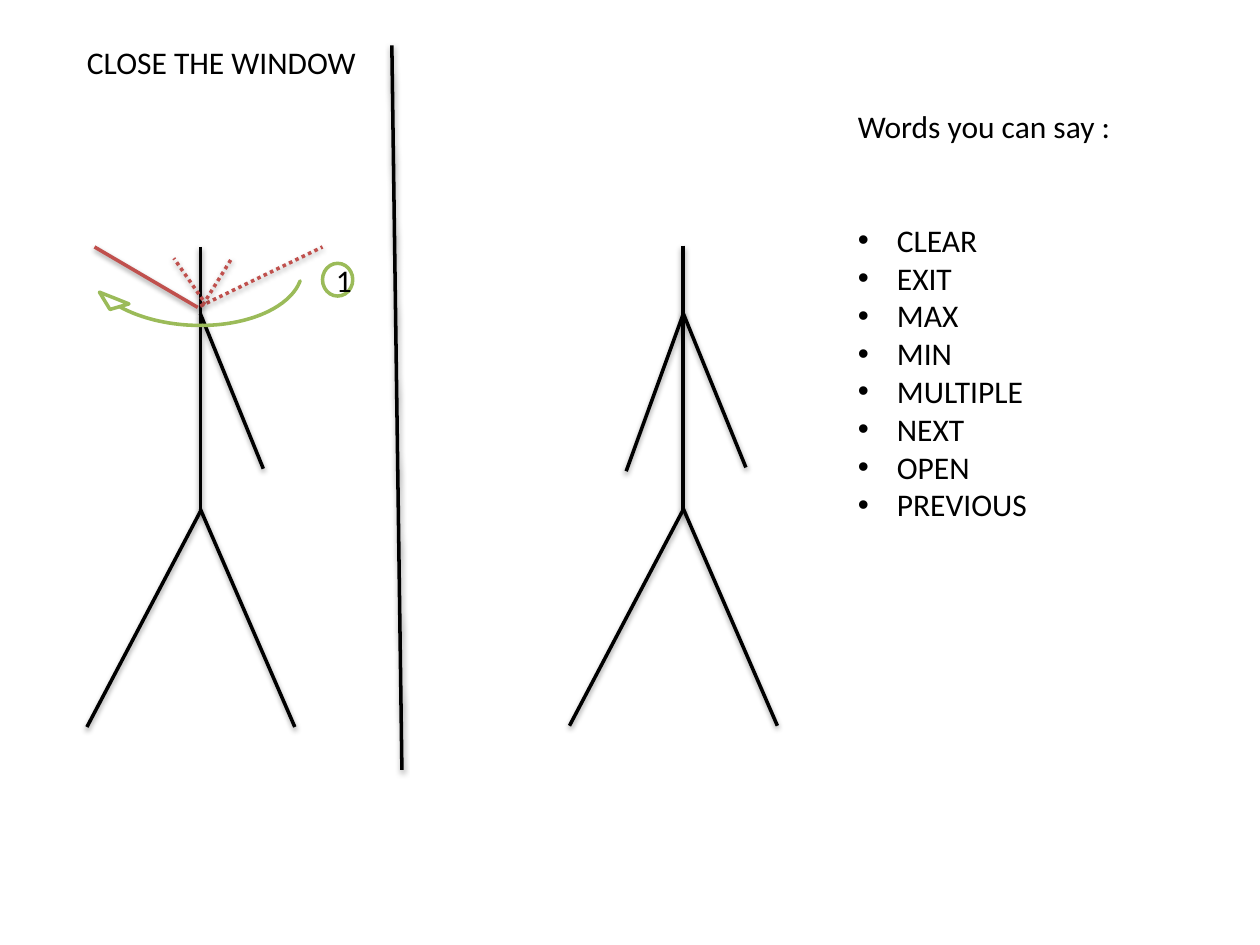
import pptx
import pptx.dml.color
import pptx.enum.dml
import pptx.enum.shapes
import pptx.enum.text
import pptx.oxml.ns
import pptx.util
from lxml import etree
from pptx.util import Inches, Pt

COLORS = {"black": "000000", "white": "FFFFFF", "red": "C0504D", "green": "9BBB59"}
FONT = "Calibri"
WORDS = ["CLEAR", "EXIT", "MAX", "MIN", "MULTIPLE", "NEXT", "OPEN", "PREVIOUS"]

# Trunk, legs and right arm, measured from the top of the head
BODY = [
    ((0, 0), (0, 2.1)),
    ((0, 2.1), (-0.9, 3.81)),
    ((0, 2.08), (0.75, 3.81)),
    ((0, 0.53), (0.5, 1.76)),
]
LEFT_ARM = ((0, 0.55), (-0.45, 1.79))


def rgb(name):
    return pptx.dml.color.RGBColor.from_string(COLORS[name])


def style_paragraph(paragraph, align=pptx.enum.text.PP_ALIGN.LEFT):
    paragraph.alignment = align
    paragraph.font.name = FONT
    paragraph.font.size = Pt(18)
    paragraph.font.color.rgb = rgb("black")


def add_line(slide, start, end, color="black", dotted=False):
    """Draw a straight stroke that keeps the soft shadow of the theme."""
    line = slide.shapes.add_connector(
        pptx.enum.shapes.MSO_CONNECTOR.STRAIGHT, *map(Inches, start + end))
    line.line.color.rgb = rgb(color)
    line.line.width = Pt(2)
    if dotted:
        line.line.dash_style = pptx.enum.dml.MSO_LINE.ROUND_DOT


def add_figure(slide, x, y, limbs):
    for (x1, y1), (x2, y2) in limbs:
        add_line(slide, (x + x1, y + y1), (x + x2, y + y2))


def add_green_shape(slide, kind, *box):
    shape = slide.shapes.add_shape(kind, *map(Inches, box))
    shape.shadow.inherit = False
    shape.fill.solid()
    shape.fill.fore_color.rgb = rgb("white")
    shape.line.color.rgb = rgb("green")
    shape.line.width = Pt(2)
    return shape


def add_swing_arrow(slide):
    """Draw the arc below the shoulder, swinging from right to left."""
    arrow = add_green_shape(
        slide, pptx.enum.shapes.MSO_SHAPE.CIRCULAR_ARROW, 0.59, 1.54, 1.89, 1.12)
    arrow.rotation = 182.9
    # Shaft width, head angle, end angle, start angle, head width
    for index, value in enumerate((0, 7.99, 196.48, 111.46, 0.07)):
        arrow.adjustments[index] = value


def add_step_number(slide, number):
    circle = add_green_shape(
        slide, pptx.enum.shapes.MSO_SHAPE.OVAL, 2.56, 2.09, 0.24, 0.26)
    circle.text_frame.text = number
    circle.text_frame.vertical_anchor = pptx.enum.text.MSO_ANCHOR.MIDDLE
    style_paragraph(circle.text_frame.paragraphs[0], pptx.enum.text.PP_ALIGN.CENTER)


def add_bullet(paragraph):
    properties = paragraph._p.get_or_add_pPr()
    properties.set("marL", str(Inches(0.31)))
    properties.set("indent", str(-Inches(0.31)))
    etree.SubElement(properties, pptx.oxml.ns.qn("a:buFont"), typeface="Arial")
    etree.SubElement(properties, pptx.oxml.ns.qn("a:buChar"), char="•")


def add_word_list(slide):
    frame = slide.shapes.add_textbox(
        Inches(6.71), Inches(0.8), Inches(2.29), Inches(3.43)).text_frame
    frame.word_wrap = True
    heading = frame.paragraphs[0]
    heading.text = "Words you can say :"
    style_paragraph(heading)
    for word in WORDS:
        paragraph = frame.add_paragraph()
        paragraph.text = word
        add_bullet(paragraph)
        style_paragraph(paragraph)
    frame.paragraphs[1].space_before = Pt(43.5)


def set_title(slide, text):
    title = slide.shapes.title
    title.left, title.top = Inches(0.59), Inches(0.29)
    title.width, title.height = Inches(2.36), Inches(0.4)
    frame = title.text_frame
    frame.text = text
    frame.word_wrap = False
    frame.auto_size = pptx.enum.text.MSO_AUTO_SIZE.NONE
    frame.vertical_anchor = pptx.enum.text.MSO_ANCHOR.TOP
    style_paragraph(frame.paragraphs[0])


def main():
    presentation = pptx.Presentation()
    presentation.slide_width, presentation.slide_height = Inches(10), Inches(7.5)
    slide = presentation.slides.add_slide(presentation.slide_layouts[5])

    set_title(slide, "CLOSE THE WINDOW")
    add_figure(slide, 1.59, 1.96, BODY)
    add_line(slide, (1.59, 2.43), (2.56, 1.96), "red", dotted=True)
    add_swing_arrow(slide)
    add_step_number(slide, "1")
    add_line(slide, (3.11, 0.36), (3.19, 6.11))
    add_line(slide, (1.57, 2.44), (0.75, 1.96), "red")
    add_line(slide, (1.61, 2.42), (1.84, 2.05), "red", dotted=True)
    add_line(slide, (1.61, 2.38), (1.38, 2.05), "red", dotted=True)
    add_figure(slide, 5.42, 1.95, BODY + [LEFT_ARM])
    add_word_list(slide)

    presentation.save("out.pptx")


if __name__ == "__main__":
    main()
